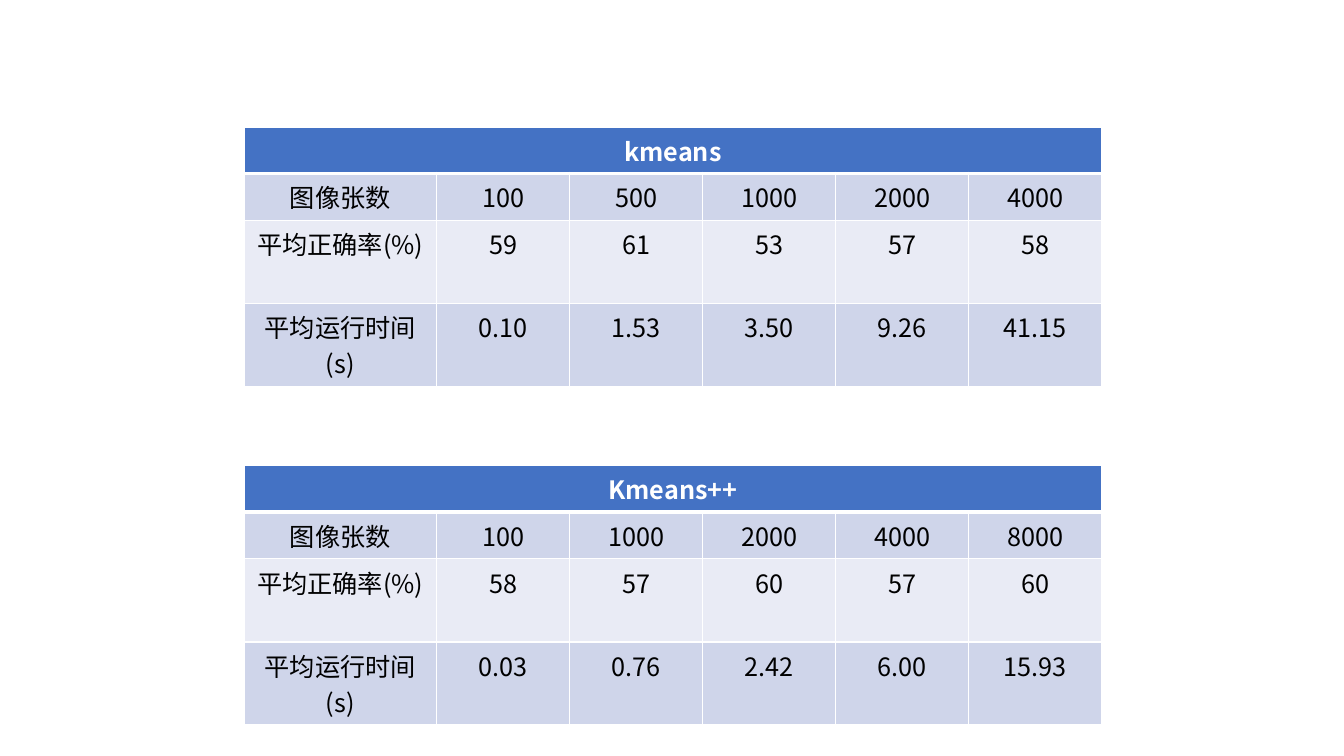
from dataclasses import dataclass

from lxml import etree
from pptx import Presentation
from pptx.dml.color import RGBColor
from pptx.enum.text import PP_ALIGN
from pptx.oxml.ns import qn
from pptx.slide import Slide
from pptx.table import _Cell
from pptx.util import Inches, Pt

CENTER = PP_ALIGN.CENTER
WHITE = RGBColor(0xFF, 0xFF, 0xFF)
BLACK = RGBColor(0x00, 0x00, 0x00)
BLUE = RGBColor(0x44, 0x72, 0xC4)
BAND_DARK = RGBColor(0xCF, 0xD5, 0xEA)
BAND_LIGHT = RGBColor(0xE9, 0xEB, 0xF5)
ROW_FILLS = (BLUE, BAND_DARK, BAND_LIGHT, BAND_DARK)
FONT = "Noto Sans CJK SC"
LABELS = ("图像张数", "平均正确率(%)", "平均运行时间(s)")
LABEL_WIDTH, VALUE_WIDTH = 1.91, 1.32


@dataclass
class ResultTable:
    title: str
    top: float
    values: tuple[tuple[str, ...], ...]


RESULTS = (
    ResultTable("kmeans", 1.26, (
        ("100", "500", "1000", "2000", "4000"),
        ("59", "61", "53", "57", "58"),
        ("0.10", "1.53", "3.50", "9.26", "41.15"),
    )),
    ResultTable("Kmeans++", 4.62, (
        ("100", "1000", "2000", "4000", "8000"),
        ("58", "57", "60", "57", "60"),
        ("0.03", "0.76", "2.42", "6.00", "15.93"),
    )),
)


def set_borders(cell: _Cell, row: int) -> None:
    tc_pr = cell._tc.get_or_add_tcPr()
    widths = {"L": 1, "R": 1, "T": 3 if row == 1 else 1, "B": 3 if row == 0 else 1}
    for side, width in widths.items():
        ln = etree.SubElement(tc_pr, qn(f"a:ln{side}"), w=str(Pt(width)))
        fill = etree.SubElement(ln, qn("a:solidFill"))
        etree.SubElement(fill, qn("a:srgbClr"), val=str(WHITE))


def format_cell(cell: _Cell, row: int) -> None:
    set_borders(cell, row)
    cell.fill.solid()
    cell.fill.fore_color.rgb = ROW_FILLS[row]
    p = cell.text_frame.paragraphs[0]
    p.alignment = CENTER
    for r in p.runs:
        r.font.size = Pt(18)
        r.font.bold = row == 0
        r.font.color.rgb = WHITE if row == 0 else BLACK
        r.font.name = FONT
        etree.SubElement(r._r.get_or_add_rPr(), qn("a:ea"), typeface=FONT)


def add_result_table(s: Slide, result: ResultTable) -> None:
    rows = [(result.title,)]
    rows += [(label, *values) for label, values in zip(LABELS, result.values)]
    table = s.shapes.add_table(
        len(rows), len(rows[1]), Inches(2.42), Inches(result.top), Inches(8.5), Inches(1.62)
    ).table
    for i, column in enumerate(table.columns):
        column.width = Inches(VALUE_WIDTH if i else LABEL_WIDTH)
    table.cell(0, 0).merge(table.cell(0, len(rows[1]) - 1))
    for i, texts in enumerate(rows):
        for j, text in enumerate(texts):
            table.cell(i, j).text_frame.text = text
        for cell in table.rows[i].cells:
            format_cell(cell, i)


def main() -> None:
    prs = Presentation()
    prs.slide_width, prs.slide_height = Inches(13.33), Inches(7.5)
    s = prs.slides.add_slide(prs.slide_layouts[6])
    for result in RESULTS:
        add_result_table(s, result)
    prs.save("out.pptx")


if __name__ == "__main__":
    main()
